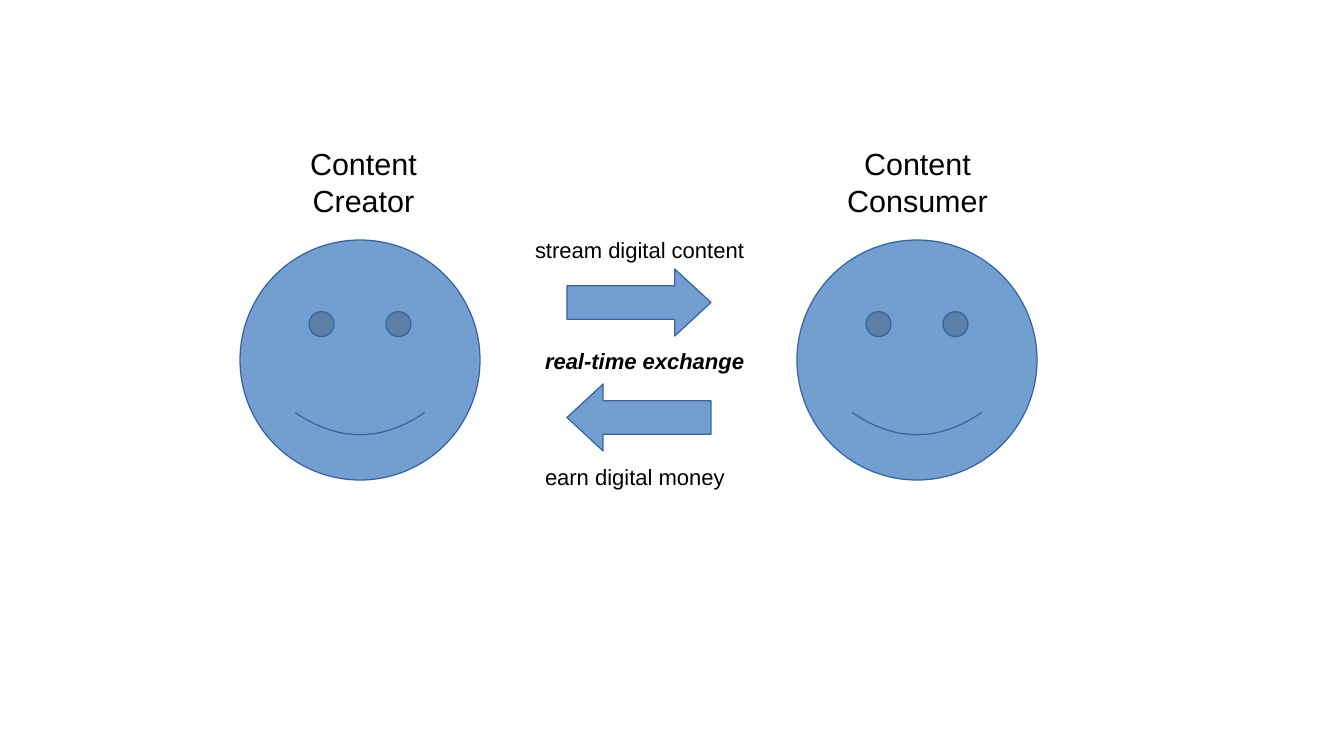
import pptx
import pptx.dml.color
import pptx.enum.shapes
import pptx.enum.text
import pptx.util

PX = 914400 / 122
SHAPE = pptx.enum.shapes.MSO_SHAPE
ALIGN = pptx.enum.text.PP_ALIGN
BLUE, EDGE, BLACK = "729FCF", "3465A4", "000000"


def px(n):
    return pptx.util.Emu(round(n * PX))


def color(hex_text):
    return pptx.dml.color.RGBColor.from_string(hex_text)


def add_figure(s, kind, x, y, w, h, adjustments):
    sp = s.shapes.add_shape(kind, px(x), px(y), px(w), px(h))
    for i, value in enumerate(adjustments):
        sp.adjustments[i] = value
    sp.shadow.inherit = False
    sp.fill.solid()
    sp.fill.fore_color.rgb = color(BLUE)
    sp.line.color.rgb = color(EDGE)
    sp.line.width = pptx.util.Pt(0)


def add_label(s, text, x, y, w, h, size, align=ALIGN.LEFT, strong=False):
    tf = s.shapes.add_textbox(px(x), px(y), px(w), px(h)).text_frame
    tf.word_wrap = False
    tf.auto_size = pptx.enum.text.MSO_AUTO_SIZE.SHAPE_TO_FIT_TEXT
    tf.text = text
    for p in tf.paragraphs:
        p.alignment = align
        for r in p.runs:
            r.font.name = "Arial"
            r.font.size = pptx.util.Pt(size)
            r.font.color.rgb = color(BLACK)
            r.font.bold = r.font.italic = strong


def main():
    prs = pptx.Presentation()
    prs.slide_width, prs.slide_height = px(1344), px(756)
    s = prs.slides.add_slide(prs.slide_layouts[6])

    # People and their roles
    for role, face_x, label_x, label_w in (
        ("Creator", 240, 288, 151),
        ("Consumer", 797, 835, 165),
    ):
        add_figure(s, SHAPE.SMILEY_FACE, face_x, 240, 240, 240, [0.093])
        add_label(s, "Content\n" + role, label_x, 139, label_w, 81, 18, ALIGN.CENTER)

    # Exchange arrows
    for kind, y in ((SHAPE.RIGHT_ARROW, 269), (SHAPE.LEFT_ARROW, 384)):
        add_figure(s, kind, 567, y, 144, 67, [0.5, 0.54])

    # Exchange captions
    for text, x, y, w, strong in (
        ("stream digital content", 523, 231, 233, False),
        ("real-time exchange", 533, 341, 223, True),
        ("earn digital money", 533, 457, 218, False),
    ):
        add_label(s, text, x, y, w, 37, 13, strong=strong)

    prs.save("out.pptx")


if __name__ == "__main__":
    main()
